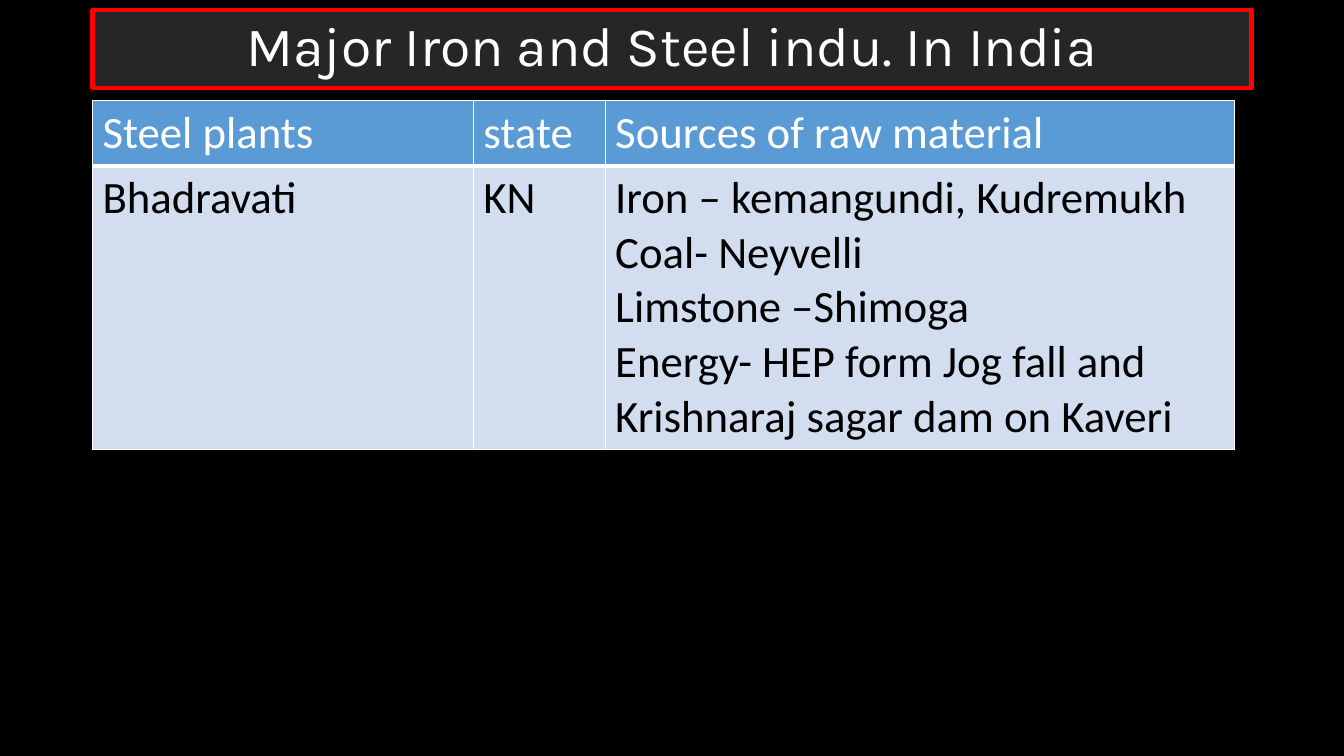
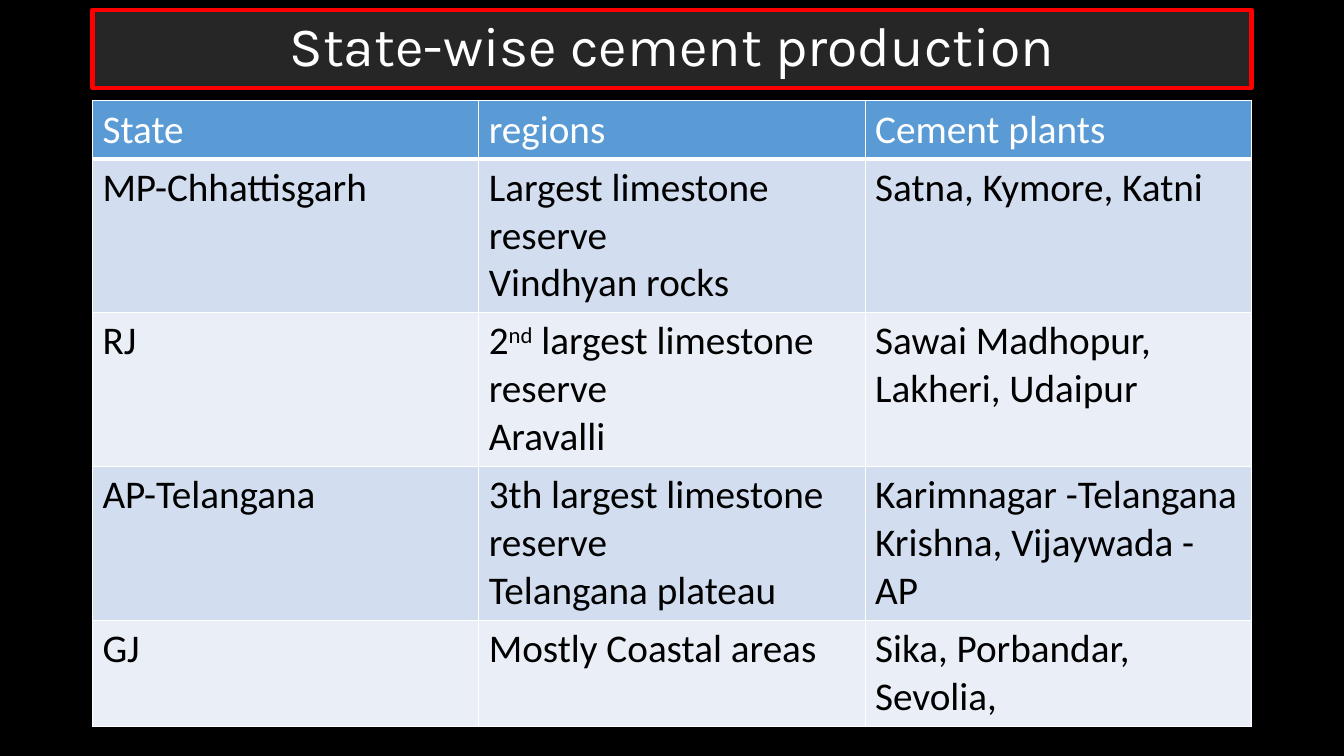
from dataclasses import dataclass

from lxml.etree import SubElement
from pptx import Presentation
from pptx.dml.color import RGBColor
from pptx.enum.shapes import MSO_SHAPE
from pptx.enum.text import MSO_ANCHOR, MSO_AUTO_SIZE, PP_ALIGN
from pptx.oxml import parse_xml
from pptx.oxml.ns import nsdecls, qn
from pptx.util import Cm, Pt

BLACK = "000000"
WHITE = "FFFFFF"
TITLE_FILL = "262626"
TITLE_BORDER = "FF0000"
HEADER_FILL = "5B9BD5"
BAND_FILLS = ("D2DEEF", "EAEFF7")
TITLE_FONT = "Karla"
BODY_FONT = "Calibri"
SUPERSCRIPT_MARK = "^"

MARGIN_LEFT = 2.33
CONTENT_WIDTH = 29.21
TABLE_TOP = 2.54


@dataclass(frozen=True)
class IndustrySlide:
    title: str
    text_size: float
    column_widths: tuple[float, ...]
    row_heights: tuple[float, ...]
    rows: tuple[tuple[str, ...], ...]


INDUSTRY_SLIDES = (
    IndustrySlide(
        title="Major Iron and Steel indu. In India",
        text_size=32,
        column_widths=(9.6, 3.32, 15.87),
        row_heights=(1.6, 7.03),
        rows=(
            ("Steel plants", "state", "Sources of raw material"),
            (
                "Bhadravati",
                "KN",
                "Iron – kemangundi, Kudremukh\nCoal- Neyvelli\nLimstone –Shimoga\n"
                "Energy- HEP form Jog fall and Krishnaraj sagar dam on Kaveri",
            ),
        ),
    ),
    IndustrySlide(
        title="State-wise cement production",
        text_size=28,
        column_widths=(CONTENT_WIDTH / 3,) * 3,
        row_heights=(1.45, 3.8, 3.8, 3.8, 2.64),
        rows=(
            ("State", "regions", "Cement plants"),
            (
                "MP-Chhattisgarh",
                "Largest limestone reserve\nVindhyan rocks",
                "Satna, Kymore, Katni",
            ),
            (
                "RJ",
                "2^nd^ largest limestone reserve\nAravalli",
                "Sawai Madhopur, Lakheri, Udaipur",
            ),
            (
                "AP-Telangana",
                "3th largest limestone reserve\nTelangana plateau",
                "Karimnagar -Telangana\nKrishna, Vijaywada - AP",
            ),
            ("GJ", "Mostly Coastal areas", "Sika, Porbandar, Sevolia,"),
        ),
    ),
)


def color(hex_code: str) -> RGBColor:
    return RGBColor.from_string(hex_code)


def paint(fill, hex_code: str) -> None:
    fill.solid()
    fill.fore_color.rgb = color(hex_code)


def style_font(font, name: str, size: float, hex_code: str) -> None:
    font.name = name
    font.size = Pt(size)
    font.bold = False
    font.color.rgb = color(hex_code)


def add_title(slide, text: str) -> None:
    title = slide.shapes.title
    title.left, title.top = Cm(MARGIN_LEFT), Cm(0.25)
    title.width, title.height = Cm(CONTENT_WIDTH), Cm(1.96)
    outline = parse_xml(
        f'<a:prstGeom {nsdecls("a")} prst="{MSO_SHAPE.ROUNDED_RECTANGLE.xml_value}">'
        "<a:avLst/></a:prstGeom>"
    )
    title.element.spPr.append(outline)
    paint(title.fill, TITLE_FILL)
    title.line.color.rgb = color(TITLE_BORDER)
    title.line.width = Pt(3)

    frame = title.text_frame
    frame.text = text
    frame.word_wrap = True
    frame.auto_size = MSO_AUTO_SIZE.NONE
    frame.vertical_anchor = MSO_ANCHOR.MIDDLE
    paragraph = frame.paragraphs[0]
    paragraph.alignment = PP_ALIGN.CENTER
    paragraph.line_spacing = 0.9
    style_font(paragraph.font, TITLE_FONT, 39.6, WHITE)


def add_borders(cell, bottom_width: float) -> None:
    properties = cell._tc.get_or_add_tcPr()
    widths = {"lnL": 1, "lnR": 1, "lnT": 1, "lnB": bottom_width}
    for side, width in widths.items():
        border = SubElement(properties, qn(f"a:{side}"), w=str(Pt(width)))
        solid = SubElement(border, qn("a:solidFill"))
        SubElement(solid, qn("a:srgbClr"), val=WHITE)


def write_cell(cell, text: str, size: float, hex_code: str) -> None:
    frame = cell.text_frame
    for index, line in enumerate(text.split("\n")):
        paragraph = frame.add_paragraph() if index else frame.paragraphs[0]
        style_font(paragraph.font, BODY_FONT, size, hex_code)
        for position, piece in enumerate(line.split(SUPERSCRIPT_MARK)):
            run = paragraph.add_run()
            run.text = piece
            if position % 2:
                run._r.get_or_add_rPr().set("baseline", "30000")


def add_industry_table(slide, content: IndustrySlide) -> None:
    table = slide.shapes.add_table(
        len(content.rows),
        len(content.column_widths),
        Cm(MARGIN_LEFT),
        Cm(TABLE_TOP),
        Cm(sum(content.column_widths)),
        Cm(sum(content.row_heights)),
    ).table
    for column, width in zip(table.columns, content.column_widths):
        column.width = Cm(width)
    for row_index, (row, height) in enumerate(zip(table.rows, content.row_heights)):
        row.height = Cm(height)
        is_header = row_index == 0
        row_fill = HEADER_FILL if is_header else BAND_FILLS[(row_index - 1) % 2]
        for cell, text in zip(row.cells, content.rows[row_index]):
            add_borders(cell, 3 if is_header else 1)
            paint(cell.fill, row_fill)
            write_cell(cell, text, content.text_size, WHITE if is_header else BLACK)


def main() -> None:
    presentation = Presentation()
    presentation.slide_width, presentation.slide_height = Cm(33.87), Cm(19.05)
    paint(presentation.slide_master.background.fill, BLACK)
    title_only = presentation.slide_layouts[5]
    for content in INDUSTRY_SLIDES:
        slide = presentation.slides.add_slide(title_only)
        add_industry_table(slide, content)
        add_title(slide, content.title)
    presentation.save("out.pptx")


if __name__ == "__main__":
    main()
